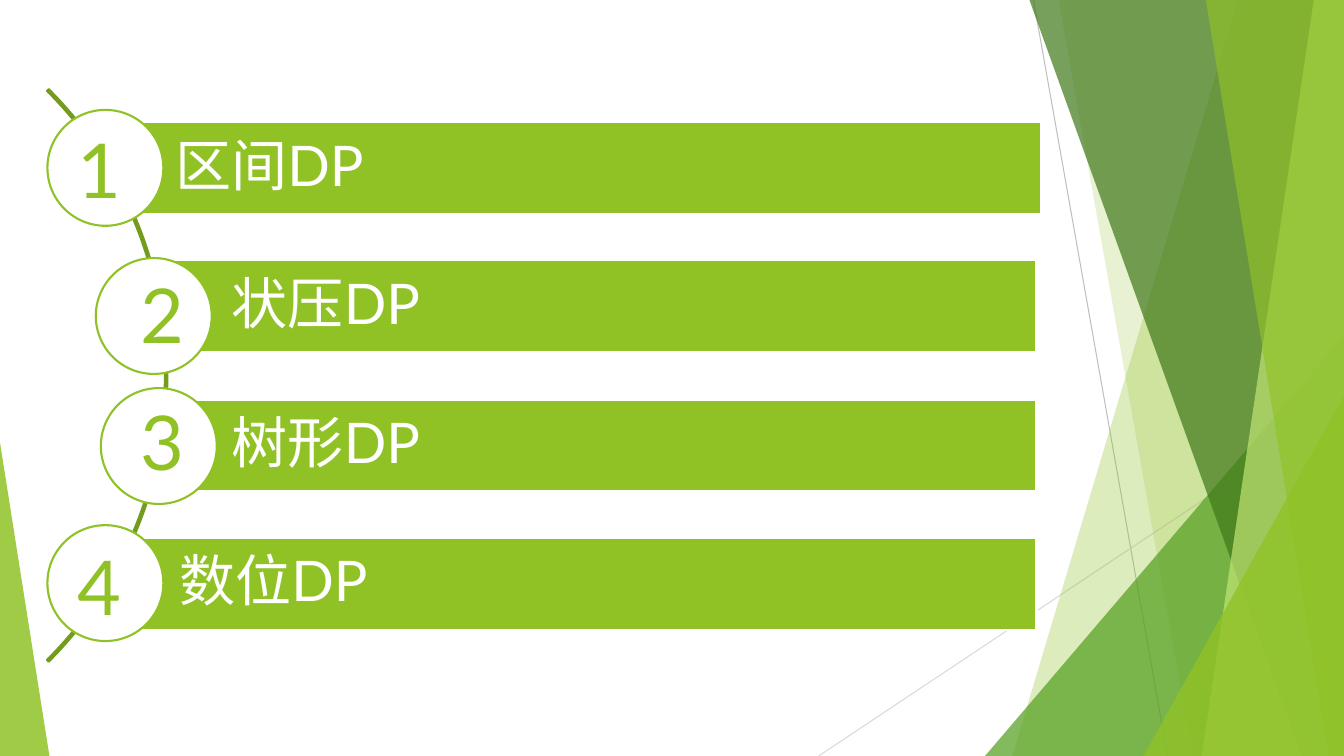
from lxml.etree import SubElement
from pptx import Presentation
from pptx.dml.color import RGBColor
from pptx.enum.shapes import MSO_CONNECTOR, MSO_SHAPE
from pptx.enum.text import MSO_ANCHOR, PP_ALIGN
from pptx.oxml.ns import qn
from pptx.util import Emu, Pt

PX = 9144
WIDTH, HEIGHT = 1333, 750
FONT = "Lato"
COLORS = {
    "white": "FFFFFF", "lime": "90C226", "green": "54A021", "forest": "3F7819",
    "pale": "C0E474", "olive": "739B1E", "gray": "BFBFBF", "silver": "D9D9D9",
}


def px(*lengths):
    """Turn px lengths into EMU."""
    return [Emu(length * PX) for length in lengths]


def paint(shape, fill, line=None, line_width=0, opacity=100):
    """Give a shape its fill, opacity and outline, without shadow."""
    shape.shadow.inherit = False
    shape.fill.solid()
    shape.fill.fore_color.rgb = RGBColor.from_string(COLORS[fill])
    if opacity < 100:
        color = shape.fill._xPr.find(qn("a:solidFill"))[0]
        SubElement(color, qn("a:alpha"), val=str(opacity * 1000))
    if line:
        shape.line.color.rgb = RGBColor.from_string(COLORS[line])
        shape.line.width = Pt(line_width)
    else:
        shape.line.fill.background()


def add_shape(slide, kind, box, adjustments=(), **style):
    """Add a painted preset shape in a px box."""
    shape = slide.shapes.add_shape(kind, *px(*box))
    for index, value in enumerate(adjustments):
        shape.adjustments[index] = value
    paint(shape, **style)
    return shape


def add_line(slide, start, end, color):
    """Add a thin straight line."""
    line = slide.shapes.add_connector(MSO_CONNECTOR.STRAIGHT, *px(*start, *end))
    line.line.color.rgb = RGBColor.from_string(COLORS[color])
    line.line.width = Pt(0.75)
    SubElement(line._element.spPr, qn("a:effectLst"))


def add_band(slide, box, top_x, bottom_x, color, opacity):
    """Add a slanted band that reaches the right edge of its box."""
    left, top, width, height = box
    right, bottom = left + width, top + height
    builder = slide.shapes.build_freeform(top_x, top, scale=PX)
    builder.add_line_segments([(right, top), (right, bottom), (bottom_x, bottom)])
    paint(builder.convert_to_shape(), color, opacity=opacity)


def add_triangle(slide, box, apex, color, opacity):
    """Add a translucent triangle with its apex at a share of the width."""
    add_shape(slide, MSO_SHAPE.ISOSCELES_TRIANGLE, box, [apex], fill=color, opacity=opacity)


def add_backdrop(slide, box):
    """Draw the overlapping green facets and thin lines over the slide box."""
    left, top, width, height = box
    right, bottom = left + width, top + height
    add_line(slide, (left + 1025, top), (left + 1158, bottom), "gray")
    add_line(slide, (right, top + 403), (left + 812, bottom), "silver")

    def band(top_x, bottom_x, color, opacity):
        add_band(slide, box, left + top_x, left + bottom_x, color, opacity)

    def corner(corner_width, corner_height, color, opacity):
        corner_box = (right - corner_width, bottom - corner_height, corner_width, corner_height)
        add_triangle(slide, corner_box, 1, color, opacity)

    band(1228, 1004, "lime", 30)
    band(1050, 1183, "lime", 20)
    corner(356, 417, "green", 72)
    band(1021, 1291, "forest", 70)
    band(1303, 1192, "pale", 70)
    band(1196, 1318, "lime", 65)
    corner(199, 357, "lime", 80)
    add_triangle(slide, (left, bottom - 311, 49, 311), 0, "lime", 85)


def add_text(shape, text, size, color, alignment):
    """Write one line of text into a shape."""
    shape.text_frame.word_wrap = True
    paragraph = shape.text_frame.paragraphs[0]
    paragraph.alignment = alignment
    run = paragraph.add_run()
    run.text = text
    run.font.name = FONT
    run.font.size = Pt(size)
    run.font.color.rgb = RGBColor.from_string(COLORS[color])
    return paragraph


def add_topic(slide, box, title, number, circle_offset, number_offset):
    """Draw a topic bar with its numbered circle, placed from the bar's corner."""
    left, top = box[:2]
    bar = add_shape(slide, MSO_SHAPE.RECTANGLE, box, fill="lime", line="white", line_width=2)
    frame = bar.text_frame
    frame.vertical_anchor = MSO_ANCHOR.MIDDLE
    frame.margin_left, frame.margin_top, frame.margin_right, frame.margin_bottom = px(73, 11, 11, 11)
    add_text(bar, title, 40, "white", PP_ALIGN.LEFT).line_spacing = 0.9

    circle_box = (left + circle_offset[0], top + circle_offset[1], 115, 115)
    add_shape(slide, MSO_SHAPE.OVAL, circle_box, fill="white", line="lime", line_width=1.5)
    label = slide.shapes.add_textbox(
        *px(left + number_offset[0], top + number_offset[1], 62, 101))
    add_text(label, str(number), 54, "lime", PP_ALIGN.CENTER)


def add_agenda(slide, box):
    """Draw the arc and the four topics from the top left of a box."""
    left, top, width, height = box
    diameter = 803
    arc_box = (left - 684, top + (height - diameter) // 2, diameter, diameter)
    add_shape(slide, MSO_SHAPE.BLOCK_ARC, arc_box, [189, 27, 0.003],
              fill="olive", line="olive", line_width=1.5)
    topics = [
        ("区间DP", 54, 986, (-54, -12), (-34, -4)),
        ("状压DP", 110, 981, (-62, -2), (-28, 3)),
        ("树形DP", 110, 981, (-57, -11), (-28, -9)),
        ("数位DP", 58, 981, (-58, -12), (-38, -2)),
    ]
    pitch = (height - 92 - 24) / (len(topics) - 1)
    for index, (title, start, end, circle_offset, number_offset) in enumerate(topics):
        bar_box = (left + start, top + 12 + round(index * pitch), end - start, 92)
        add_topic(slide, bar_box, title, index + 1, circle_offset, number_offset)


def main():
    """Build and save the agenda slide."""
    presentation = Presentation()
    presentation.slide_width, presentation.slide_height = px(WIDTH, HEIGHT)
    slide = presentation.slides.add_slide(presentation.slide_layouts[6])
    add_backdrop(slide, (0, 0, WIDTH, HEIGHT))
    add_agenda(slide, (47, 109, 986, 528))
    presentation.save("out.pptx")


if __name__ == "__main__":
    main()
